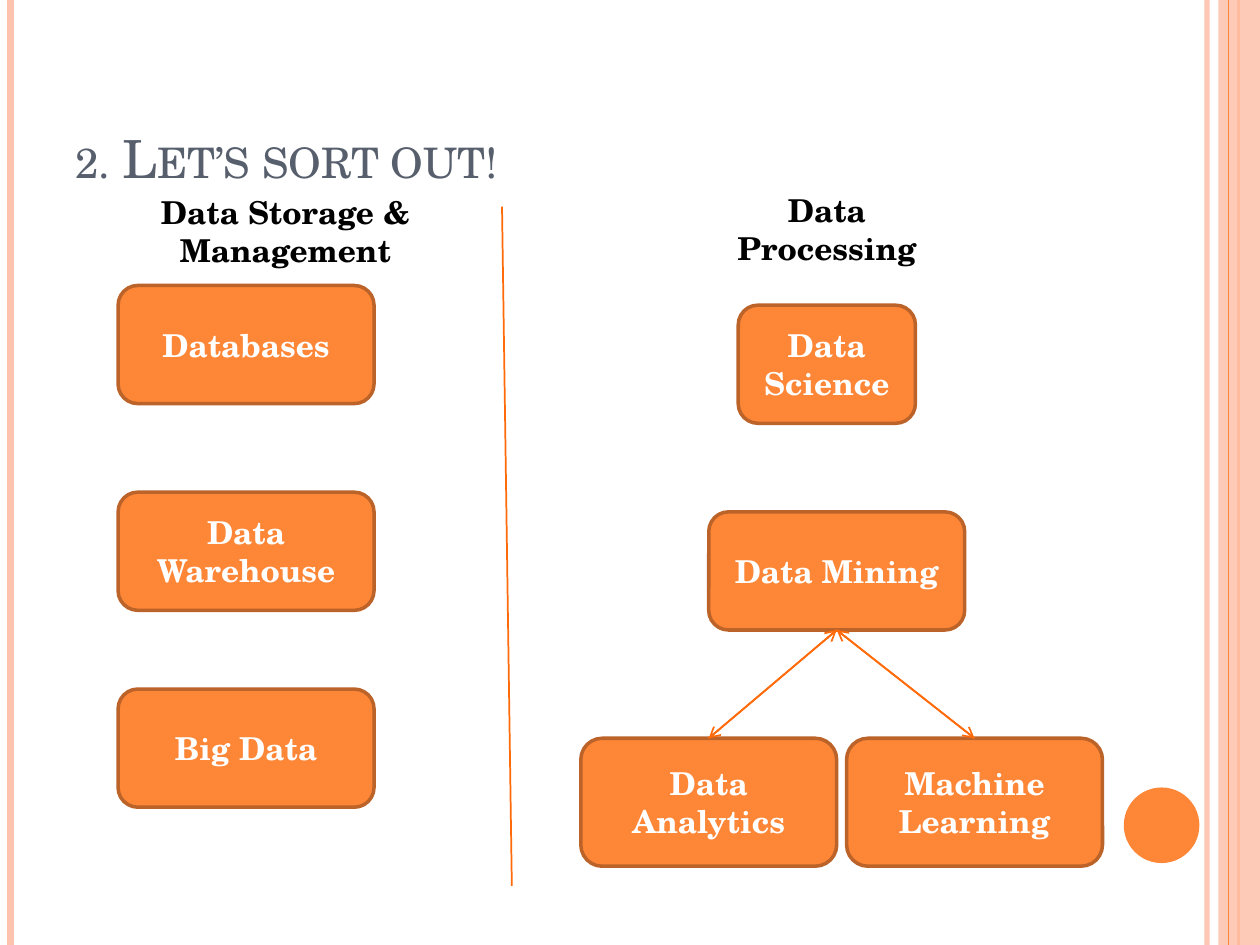
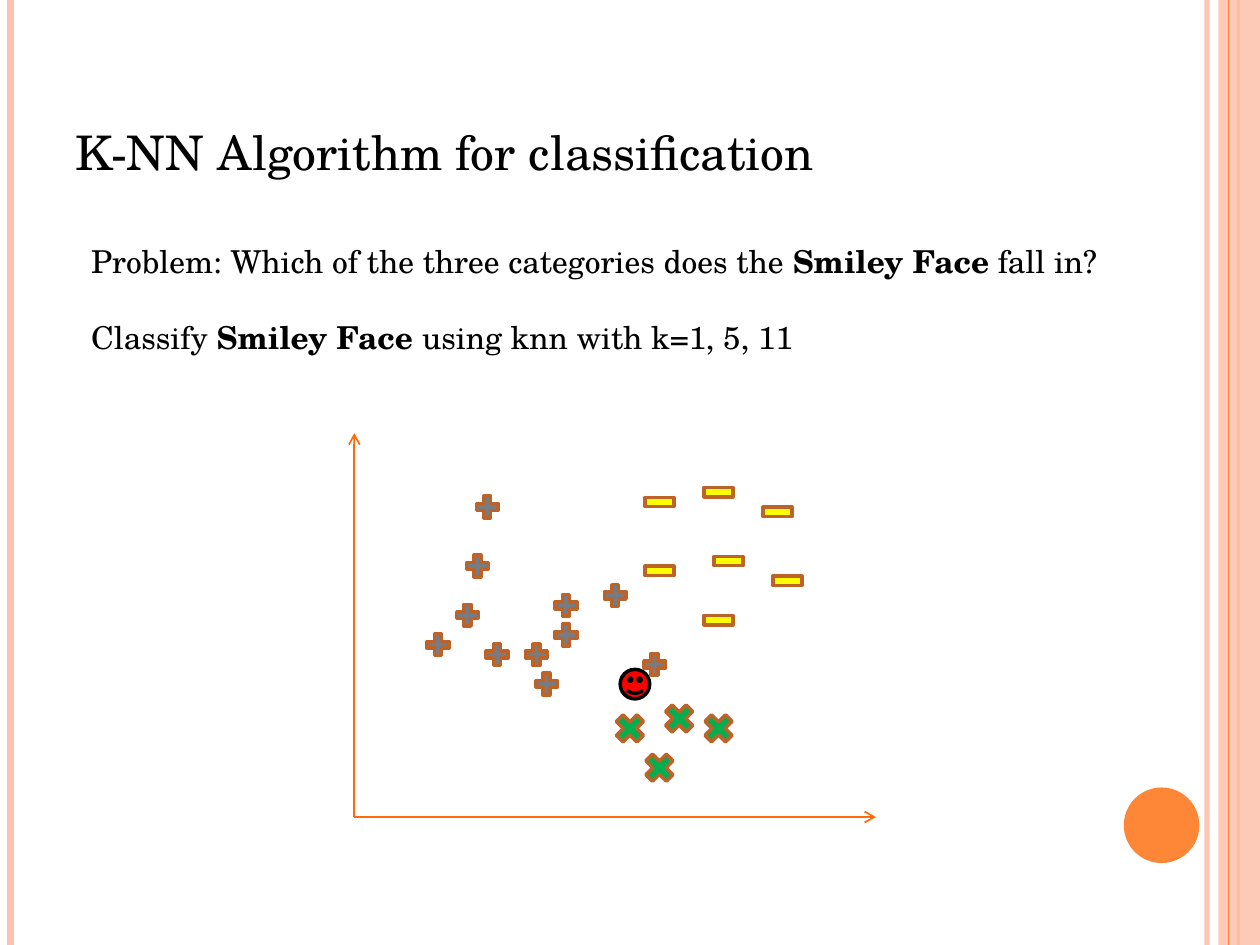
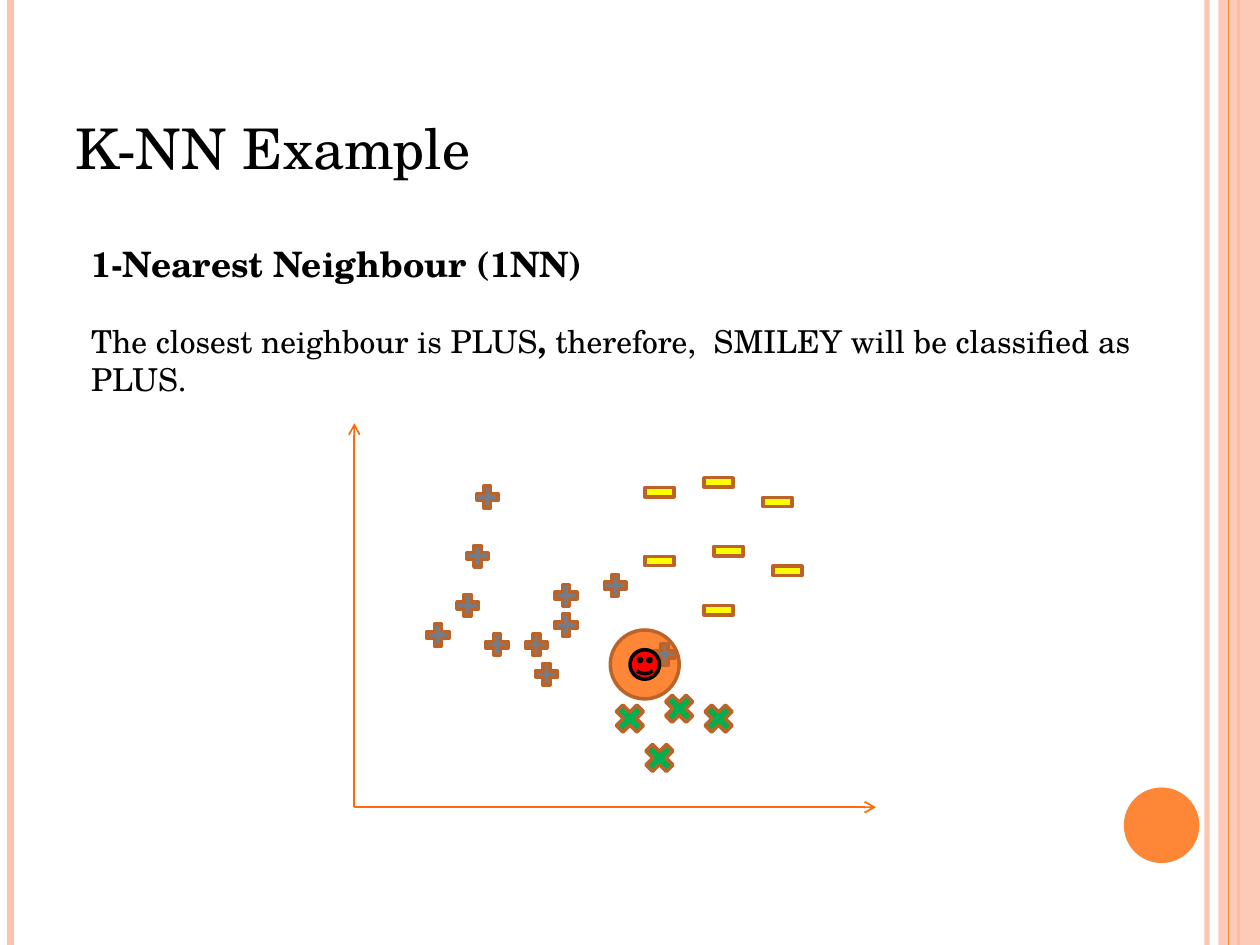
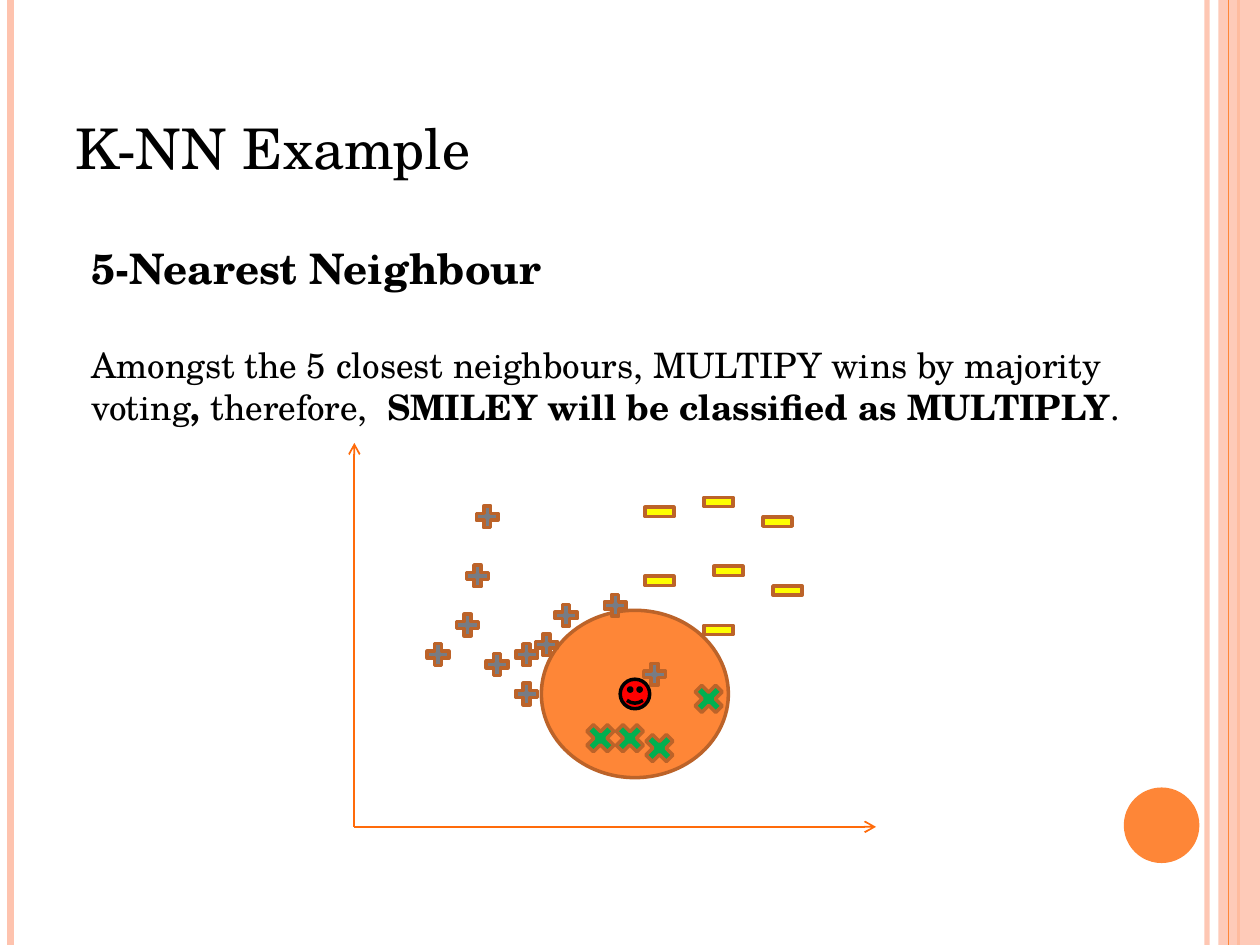
from dataclasses import dataclass
from itertools import permutations
from typing import NamedTuple, Optional

from lxml.etree import SubElement
from pptx import Presentation
from pptx.dml.color import RGBColor as Rgb
from pptx.enum.shapes import MSO_CONNECTOR as Link, MSO_SHAPE as Geo
from pptx.enum.text import MSO_ANCHOR as Anchor, MSO_AUTO_SIZE as Fit, PP_ALIGN as Align
from pptx.oxml.ns import qn
from pptx.util import Length, Pt


@dataclass(frozen=True)
class Theme:
    font: str = "TeX Gyre Schola"
    orange: str = "FE8637"
    rust: str = "BC6329"
    vivid: str = "FF6B0A"
    peach: str = "FEC3AE"
    slate: str = "575F6D"
    gray: str = "777C84"
    yellow: str = "FFFF00"
    green: str = "00B050"
    red: str = "FF0000"
    black: str = "000000"
    white: str = "FFFFFF"
    text: float = 18
    lead: float = 20
    head: float = 24
    long: float = 27.2
    sort: float = 30
    title: float = 32
    edge: float = 2
    thin: float = 1


T = Theme()
WIDE, HIGH = 720, 540
STEP = 45 / 8  # drawing grid, in points


class Box(NamedTuple):
    """Left, top, width and height in points."""
    x: float
    y: float
    w: float
    h: float

    def pts(self) -> list[Length]:
        return [Pt(v) for v in self]


def cells(x: float, y: float, w: float, h: float) -> Box:
    """Box given in grid steps."""
    return Box(*(v * STEP for v in (x, y, w, h)))


class Run(NamedTuple):
    text: str
    size: float = T.text
    bold: bool = False
    color: str = T.black
    caps: bool = False


class Para(NamedTuple):
    runs: list[Run]
    gap: float = 0


class Rule(NamedTuple):
    x: float
    color: str
    width: float
    alpha: int = 100


class Kind(NamedTuple):
    geo: Geo
    fill: str
    size: int
    edge: str = T.rust


class Node(NamedTuple):
    text: str
    box: Box


class Spot(NamedTuple):
    """Left edge and height of the top edge, in steps from the origin."""
    x: int
    up: int


@dataclass(frozen=True)
class Page:
    title: Run
    width: float
    body: list[Para]
    base: int
    plus: list[Spot]
    cross: list[Spot]
    smile: Spot
    ring: Optional[tuple[int, int, int, int]] = None


RULES = [Rule(689.8, T.peach, 3, 93), Rule(6, T.peach, 4.5), Rule(707.8, T.orange, 1.5)]
INNER = Rule(702, T.orange, 0.75)

PLUS = Kind(Geo.MATH_PLUS, T.gray, 3)
MINUS = Kind(Geo.MATH_MINUS, T.yellow, 4)
CROSS = Kind(Geo.MATH_MULTIPLY, T.green, 4)
SMILE = Kind(Geo.SMILEY_FACE, T.red, 3, T.black)


def spots(*pairs: tuple[int, int]) -> list[Spot]:
    return [Spot(*pair) for pair in pairs]


FIXED = spots((12, 33), (13, 18), (20, 23), (25, 24), (11, 27), (7, 19), (10, 22))
LOOSE = spots((20, 20), (18, 15), (17, 18))
TIGHT = spots((18, 20), (16, 15), (16, 19))
BARS = spots((41, 33), (29, 34), (36, 28), (35, 22), (42, 26), (29, 27), (35, 35))
APART = spots((31, 12), (26, 11), (29, 7), (35, 11))
CLOSE = spots((34, 15), (26, 11), (23, 11), (29, 10))

EXAMPLE = Run("K-NN Example", T.title)
PAGES = [
    Page(
        Run("K-NN Algorithm for classification", T.long), 470,
        [
            Para([Run("Problem: Which of the three categories does the "),
                  Run("Smiley Face", bold=True), Run(" fall in?")]),
            Para([Run("Classify "), Run("Smiley Face ", bold=True),
                  Run("using knn with k=1, 5, 11")], 21.6),
        ],
        83, FIXED + LOOSE + spots((29, 17)), APART, Spot(27, 15),
    ),
    Page(
        EXAMPLE, 290,
        [
            Para([Run("1-Nearest Neighbour (1NN)", T.lead, True)]),
            Para([Run("The closest neighbour is PLUS"), Run(", ", bold=True),
                  Run("therefore,  SMILEY will be classified as PLUS.")], 21.6),
        ],
        82, FIXED + LOOSE + spots((30, 17)), APART, Spot(28, 16), (26, 18, 7, 7),
    ),
    Page(
        EXAMPLE, 290,
        [
            Para([Run("5-Nearest Neighbour", T.head, True)]),
            Para([Run("Amongst the 5 closest neighbours, MULTIPY wins by majority voting", T.lead),
                  Run(", ", T.lead, True), Run("therefore,  ", T.lead),
                  Run("SMILEY will be classified as MULTIPLY", T.lead, True),
                  Run(".", T.lead)], 28.8),
        ],
        84, FIXED + TIGHT + spots((29, 17)), CLOSE, Spot(27, 15), (19, 22, 19, 17),
    ),
]

MINING = Node("Data Mining", cells(72, 52, 26, 12))
LEAVES = [Node("Data Analytics", cells(59, 75, 26, 13)),
          Node("Machine Learning", cells(86, 75, 26, 13))]
NODES = [Node("Databases", cells(12, 29, 26, 12)),
         Node("Data Warehouse", cells(12, 50, 26, 12)),
         Node("Big Data", cells(12, 70, 26, 12)),
         Node("Data Science", cells(75, 31, 18, 12))]
HEADS = [Node("Data Storage & Management", cells(15, 19, 28, 9)),
         Node("Data Processing", cells(72, 18.8, 24, 9))]


def fade(item, alpha: int) -> None:
    """Set the opacity, in percent, of the item's first colour."""
    color = next(item.element.spPr.iter(qn("a:srgbClr")))
    SubElement(color, qn("a:alpha"), val=str(alpha * 1000))


def write(frame, paras: list[Para], align: Align = Align.LEFT) -> None:
    frame.word_wrap = True
    for i, para in enumerate(paras):
        line = frame.add_paragraph() if i else frame.paragraphs[0]
        line.alignment = align
        line.space_before = Pt(para.gap)
        for part in para.runs:
            run = line.add_run()
            run.text = part.text
            font = run.font
            font.name, font.size, font.bold = T.font, Pt(part.size), part.bold
            font.color.rgb = Rgb.from_string(part.color)
            if part.caps:
                run.font._element.set("cap", "small")


def label(slide, box: Box, paras: list[Para], align: Align = Align.LEFT,
          anchor: Anchor = Anchor.TOP, fit: Fit = Fit.SHAPE_TO_FIT_TEXT) -> None:
    frame = slide.shapes.add_textbox(*box.pts()).text_frame
    write(frame, paras, align)
    frame.vertical_anchor, frame.auto_size = anchor, fit


def head(slide, box: Box, run: Run) -> None:
    label(slide, box, [Para([run])], anchor=Anchor.BOTTOM, fit=Fit.NONE)


def shape(slide, geo: Geo, box: Box, fill: str, edge: Optional[str] = T.rust):
    item = slide.shapes.add_shape(geo, *box.pts())
    item.shadow.inherit = False
    item.fill.solid()
    item.fill.fore_color.rgb = Rgb.from_string(fill)
    if edge:
        item.line.color.rgb = Rgb.from_string(edge)
        item.line.width = Pt(T.edge)
    else:
        item.line.fill.background()
    return item


def line(slide, start: tuple[float, float], end: tuple[float, float],
         color: str = T.vivid, width: float = T.thin, arrow: bool = False):
    item = slide.shapes.add_connector(Link.STRAIGHT, *(Pt(v) for v in start + end))
    item.line.color.rgb = Rgb.from_string(color)
    item.line.width = Pt(width)
    props = item.element.spPr
    if arrow:
        SubElement(props.find(qn("a:ln")), qn("a:tailEnd"), type="arrow")
    SubElement(props, qn("a:effectLst"))
    return item


def rule(slide, spec_: Rule) -> None:
    item = line(slide, (spec_.x, 0), (spec_.x, HIGH), spec_.color, spec_.width)
    if spec_.alpha < 100:
        fade(item, spec_.alpha)


def frame_up(layout, slide) -> None:
    """Draw the side bands and the disc, then move them to the layout."""
    for old in list(layout.placeholders):
        layout.shapes.element.remove(old.element)
    for band in RULES:
        rule(slide, band)
    fade(shape(slide, Geo.RECTANGLE, Box(696.2, 0, 23.8, HIGH), T.peach, None), 87)
    rule(slide, INNER)
    shape(slide, Geo.OVAL, Box(642.2, 450, 43.2, 43.2), T.orange, None)
    for item in list(slide.shapes):
        layout.shapes.element.append(item.element)


def card(slide, node: Node):
    item = shape(slide, Geo.ROUNDED_RECTANGLE, node.box, T.orange)
    write(item.text_frame, [Para([Run(node.text, bold=True, color=T.white)])], Align.CENTER)
    item.text_frame.vertical_anchor = Anchor.MIDDLE
    return item


def sort_out(slide) -> None:
    head(slide, Box(36, 21.6, 588, 90),
         Run("2. Let’s sort out!", T.sort, color=T.slate, caps=True))
    for node in NODES:
        card(slide, node)
    for node in HEADS:
        label(slide, node.box, [Para([Run(node.text, bold=True)])], Align.CENTER)
    line(slide, (51 * STEP, 21 * STEP), (52 * STEP, 90 * STEP))
    root = card(slide, MINING)
    for node in LEAVES:
        ends = [(root, 2), (card(slide, node), 0)]
        for start, end in permutations(ends):
            link = line(slide, (0, 0), (0, 0), arrow=True)
            link.begin_connect(*start)
            link.end_connect(*end)


def plot(slide, page: Page) -> None:
    left, base = 36, page.base

    def place(x: int, up: int, w: int, h: int) -> Box:
        return cells(left + x, base - up, w, h)

    if page.ring:
        shape(slide, Geo.OVAL, place(*page.ring), T.orange)
    zero = (left * STEP, base * STEP)
    for x, up in ((53, 0), (0, 39)):
        line(slide, zero, ((left + x) * STEP, (base - up) * STEP), arrow=True)
    for kind, group in ((PLUS, page.plus), (MINUS, BARS),
                        (CROSS, page.cross), (SMILE, [page.smile])):
        for spot in group:
            shape(slide, kind.geo, place(*spot, kind.size, kind.size), kind.fill, kind.edge)


def main() -> None:
    deck = Presentation()
    deck.slide_width, deck.slide_height = Pt(WIDE), Pt(HIGH)
    blank = deck.slide_layouts[6]
    first = deck.slides.add_slide(blank)
    frame_up(blank, first)
    sort_out(first)
    for page in PAGES:
        slide = deck.slides.add_slide(blank)
        plot(slide, page)
        label(slide, Box(45, 135, 630, 97), page.body)
        head(slide, Box(36, 56.2, page.width, 50.4), page.title)
    deck.save("out.pptx")


if __name__ == "__main__":
    main()
